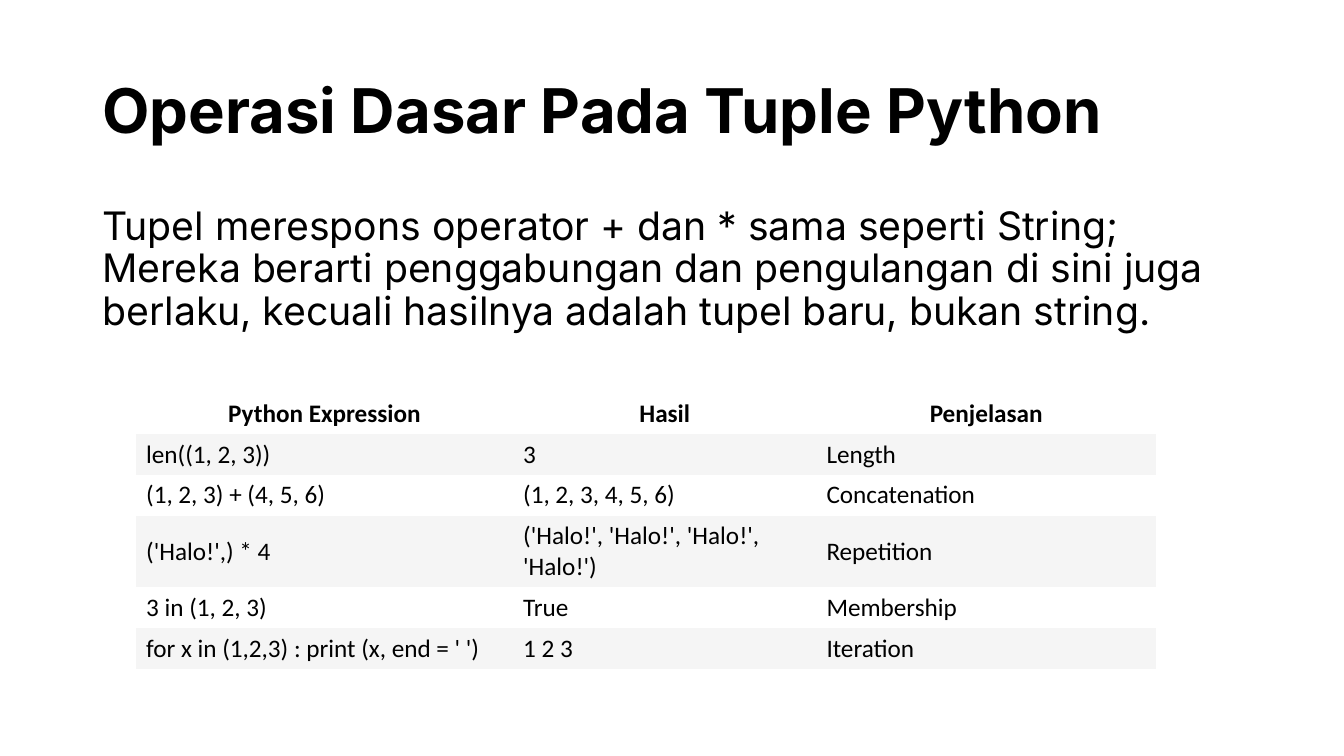
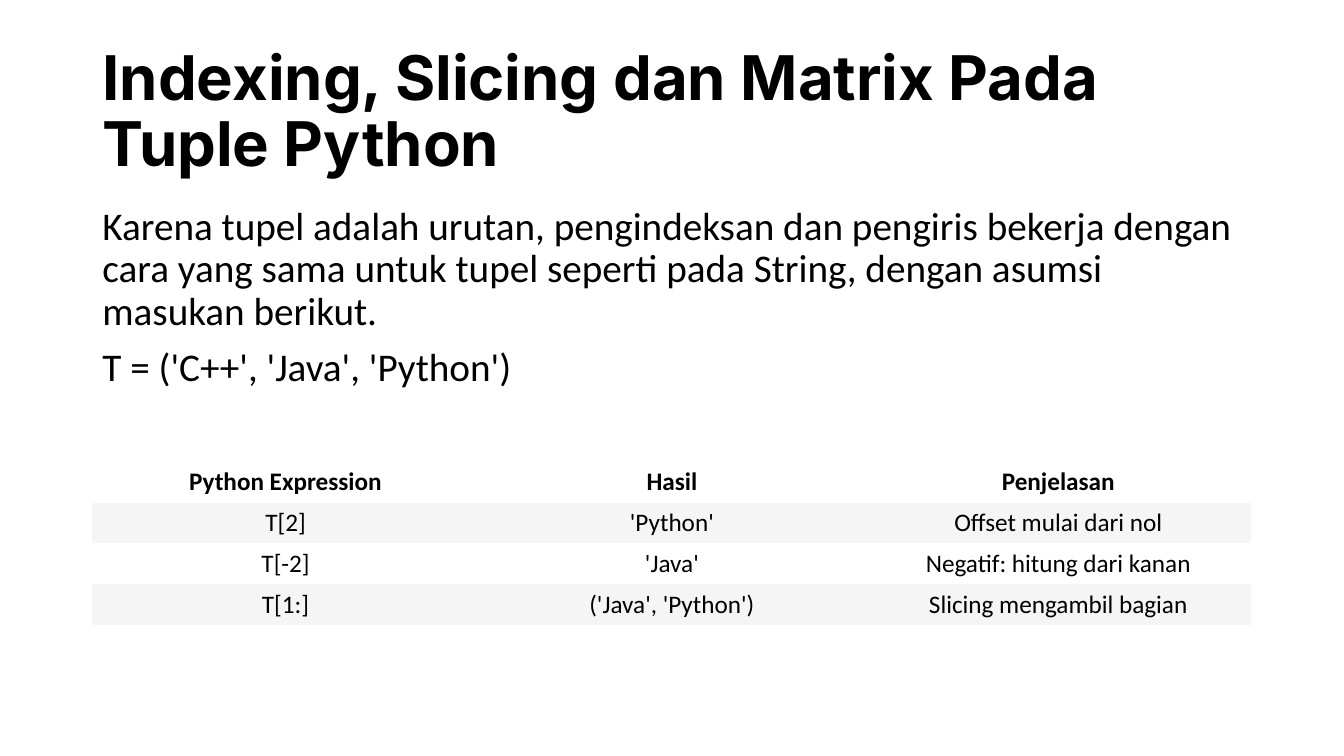
from lxml.etree import SubElement
from pptx import Presentation
from pptx.dml.color import RGBColor as RGB
from pptx.enum.text import MSO_ANCHOR as ANCHOR, MSO_AUTO_SIZE as AUTO, PP_ALIGN as ALIGN
from pptx.oxml.ns import qn
from pptx.util import Pt

COLORS = {"text": "000000", "plain": "FFFFFF", "band": "F5F5F5"}
TITLE_FONT = {"name": "Inter", "size": Pt(44), "bold": True}
HEAD_FONT = {"name": "Calibri", "size": Pt(18), "bold": True}
CELL_FONT = {**HEAD_FONT, "bold": False}
TITLE_PARA = {"alignment": ALIGN.LEFT, "line_spacing": 0.9}
BODY_PARA = {**TITLE_PARA, "space_before": Pt(10)}
TITLE_BOX = (66, 28.8, 828, 104.4)
BODY_BOX = (66, 144, 828, 342.7)
ROW_HEIGHT = 29.2
NO_STYLE = "{2D5ABB26-0587-4C30-8999-92F81FD0307C}"
HEADER = ("Python Expression", "Hasil", "Penjelasan")

SLIDES = [
    {
        "title": "Operasi Dasar Pada Tuple Python",
        "body": ["Tupel merespons operator + dan * sama seperti String; Mereka berarti "
                 "penggabungan dan pengulangan di sini juga berlaku, kecuali hasilnya "
                 "adalah tupel baru, bukan string."],
        "body_font": "Inter",
        "origin": (97.2, 280.8),
        "widths": (269.3, 216.7, 242.6),
        "align": ALIGN.LEFT,
        "rows": [
            ("len((1, 2, 3))", "3", "Length"),
            ("(1, 2, 3) + (4, 5, 6)", "(1, 2, 3, 4, 5, 6)", "Concatenation"),
            ("('Halo!',) * 4", "('Halo!', 'Halo!', 'Halo!', 'Halo!')", "Repetition"),
            ("3 in (1, 2, 3)", "True", "Membership"),
            ("for x in (1,2,3) : print (x, end = ' ')", "1 2 3", "Iteration"),
        ],
    },
    {
        "title": "Indexing, Slicing dan Matrix Pada Tuple Python",
        "body": ["Karena tupel adalah urutan, pengindeksan dan pengiris bekerja dengan "
                 "cara yang sama untuk tupel seperti pada String, dengan asumsi "
                 "masukan berikut.",
                 "T = ('C++', 'Java', 'Python')"],
        "body_font": "Calibri",
        "origin": (66, 329.8),
        "widths": (276, 276, 276),
        "align": ALIGN.CENTER,
        "rows": [
            ("T[2]", "'Python'", "Offset mulai dari nol"),
            ("T[-2]", "'Java'", "Negatif: hitung dari kanan"),
            ("T[1:]", "('Java', 'Python')", "Slicing mengambil bagian"),
        ],
    },
]


def apply(target, values):
    for name, value in values.items():
        setattr(target, name, value)


def write(p, text, font, para):
    r = p.add_run()
    r.text = text
    apply(r.font, font)
    r.font.color.rgb = RGB.from_string(COLORS["text"])
    apply(p, para)


def fill_placeholder(sp, box, anchor, texts, font, para):
    apply(sp, dict(zip(("left", "top", "width", "height"), map(Pt, box))))
    tf = sp.text_frame
    apply(tf, {"word_wrap": True, "auto_size": AUTO.NONE, "vertical_anchor": anchor})
    for i, text in enumerate(texts):
        p = tf.add_paragraph() if i else tf.paragraphs[0]
        write(p, text, font, para)


def remove_bullets(sp):
    for p_pr in sp.element.iter(qn("a:pPr")):
        apply_xml = {"marL": "0", "indent": "0"}
        p_pr.attrib.update(apply_xml)
        SubElement(p_pr, qn("a:buNone"))


def add_banded_table(s, origin, widths, rows, align):
    """Add a borderless table with a bold header and every second row tinted."""
    rows = [HEADER, *rows]
    frame = s.shapes.add_table(len(rows), len(widths), *map(Pt, origin),
                               Pt(sum(widths)), Pt(ROW_HEIGHT * len(rows)))
    for style in frame.element.iter(qn("a:tableStyleId")):
        style.text = NO_STYLE
    table = frame.table
    for column, width in zip(table.columns, widths):
        column.width = Pt(width)
    for i, row in enumerate(rows):
        table.rows[i].height = Pt(ROW_HEIGHT)
        color = COLORS["band" if i % 2 else "plain"]
        for j, text in enumerate(row):
            cell = table.cell(i, j)
            cell.vertical_anchor = ANCHOR.MIDDLE
            cell.fill.solid()
            cell.fill.fore_color.rgb = RGB.from_string(color)
            write(cell.text_frame.paragraphs[0], text,
                  CELL_FONT if i else HEAD_FONT,
                  {"alignment": align if i else ALIGN.CENTER})


def add_slide(prs, content):
    s = prs.slides.add_slide(prs.slide_layouts[1])
    title, body = s.placeholders
    fill_placeholder(title, TITLE_BOX, ANCHOR.MIDDLE, [content["title"]],
                     TITLE_FONT, TITLE_PARA)
    fill_placeholder(body, BODY_BOX, ANCHOR.TOP, content["body"],
                     {"name": content["body_font"], "size": Pt(28)}, BODY_PARA)
    remove_bullets(body)
    add_banded_table(s, content["origin"], content["widths"],
                     content["rows"], content["align"])


def main():
    prs = Presentation()
    apply(prs, {"slide_width": Pt(960), "slide_height": Pt(540)})
    for content in SLIDES:
        add_slide(prs, content)
    prs.save("out.pptx")


if __name__ == "__main__":
    main()
